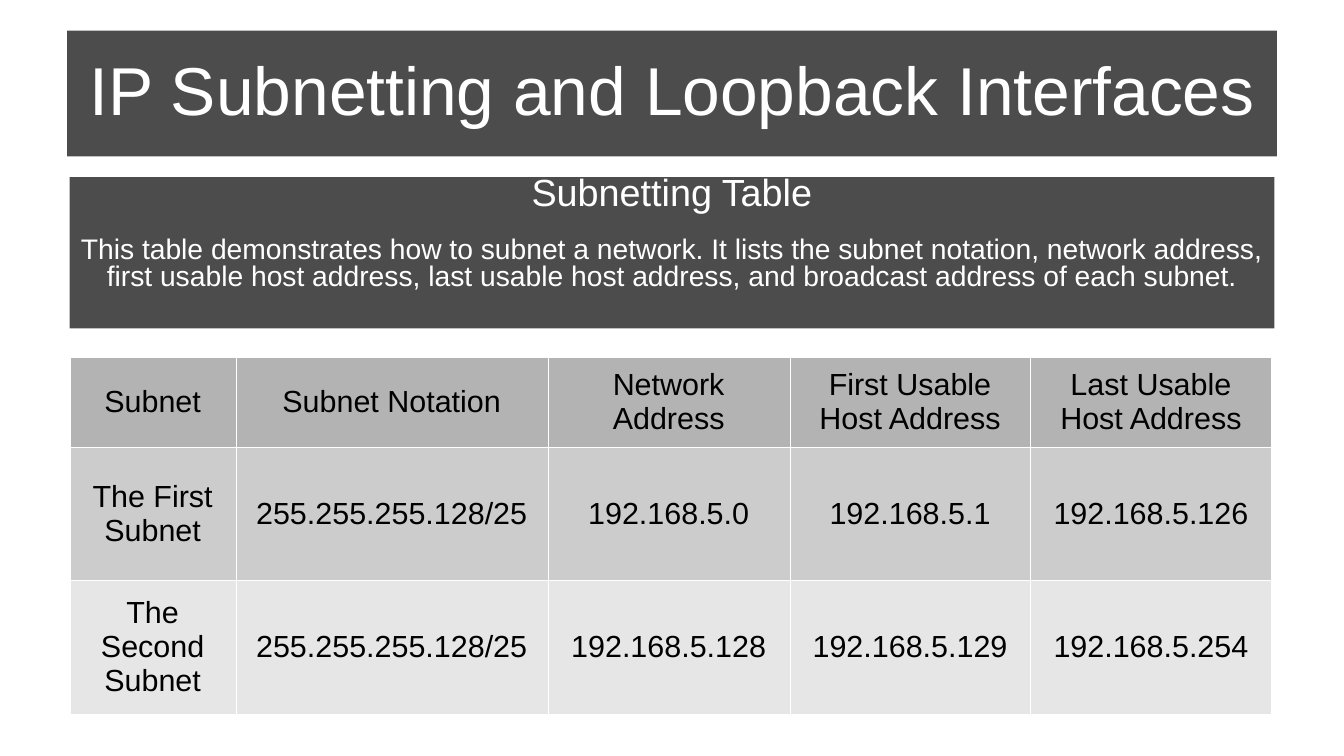
"""Build a slide with a subnetting table under two dark banners."""
from dataclasses import dataclass

from lxml import etree
from pptx import Presentation
from pptx.dml import color
from pptx.enum import text
from pptx.oxml import ns
from pptx.util import Cm, Pt

FONT = "Arial"
COLORS = {
    "black": "000000",
    "white": "FFFFFF",
    "head": "B3B3B3",
    "first": "CCCCCC",
    "second": "E6E6E6",
}
WIDTHS = [3.46, 6.5, 5.04, 5.02, 5.02]


@dataclass
class Banner:
    box: tuple[float, float, float, float]
    lines: list[str]
    sizes: list[float]
    space: float
    anchor: text.MSO_ANCHOR


@dataclass
class Row:
    fill: str
    height: float
    cells: list[str]


TITLE = Banner((1.4, 0.64, 25.2, 2.62), ["IP Subnetting and Loopback Interfaces"],
               [40], 0.9, text.MSO_ANCHOR.MIDDLE)
INTRO = Banner((1.45, 3.69, 25.1, 3.15), [
    "Subnetting Table",
    "This table demonstrates how to subnet a network. It lists the subnet notation, "
    "network address, first usable host address, last usable host address, "
    "and broadcast address of each subnet.",
], [22.3, 16.7], 0.8, text.MSO_ANCHOR.TOP)
ROWS = [
    Row("head", 1.88, ["Subnet", "Subnet Notation", "Network Address",
                       "First Usable Host Address", "Last Usable Host Address"]),
    Row("first", 2.78, ["The First Subnet", "255.255.255.128/25", "192.168.5.0",
                        "192.168.5.1", "192.168.5.126"]),
    Row("second", 2.78, ["The Second Subnet", "255.255.255.128/25", "192.168.5.128",
                         "192.168.5.129", "192.168.5.254"]),
]


def tint(name: str) -> color.RGBColor:
    """Return a named colour."""
    return color.RGBColor.from_string(COLORS[name])


def style(para, size: float, hue: str) -> None:
    """Centre a paragraph and format its runs."""
    para.alignment = text.PP_ALIGN.CENTER
    for run in para.runs:
        run.font.name = FONT
        run.font.size = Pt(size)
        run.font.color.rgb = tint(hue)


def draw_banner(shape, banner: Banner) -> None:
    """Turn a placeholder into a translucent dark banner."""
    shape.left, shape.top, shape.width, shape.height = map(Cm, banner.box)
    shape.fill.solid()
    shape.fill.fore_color.rgb = tint("black")
    shade = shape.fill._xPr.find(".//" + ns.qn("a:srgbClr"))
    etree.SubElement(shade, ns.qn("a:alpha"), val="70000")
    frame = shape.text_frame
    frame.margin_left = frame.margin_right = frame.margin_top = frame.margin_bottom = 0
    frame.word_wrap = True
    frame.auto_size = text.MSO_AUTO_SIZE.NONE
    frame.vertical_anchor = banner.anchor
    frame.text = "\n".join(banner.lines)
    for index, (para, size) in enumerate(zip(frame.paragraphs, banner.sizes)):
        props = para._p.get_or_add_pPr()
        props.set("marL", "0")
        props.set("indent", "0")
        etree.SubElement(props, ns.qn("a:buNone"))
        para.line_spacing = banner.space
        para.space_before = Pt(14.2 if index else 0)
        style(para, size, "white")


def draw_edge(cell) -> None:
    """Give a cell hairline white borders."""
    props = cell._tc.get_or_add_tcPr()
    for side in ("lnL", "lnR", "lnT", "lnB"):
        line = etree.SubElement(props, ns.qn(f"a:{side}"), w=str(Pt(0.06)))
        fill = etree.SubElement(line, ns.qn("a:solidFill"))
        etree.SubElement(fill, ns.qn("a:srgbClr"), val=COLORS["white"])


def draw_table(slide, rows: list[Row]) -> None:
    """Add the table of subnets."""
    high = sum(row.height for row in rows)
    table = slide.shapes.add_table(len(rows), len(WIDTHS), Cm(1.45), Cm(7.43),
                                   Cm(sum(WIDTHS)), Cm(high)).table
    for column, width in zip(table.columns, WIDTHS):
        column.width = Cm(width)
    for line, row in zip(table.rows, rows):
        line.height = Cm(row.height)
        for cell, words in zip(line.cells, row.cells):
            draw_edge(cell)
            cell.fill.solid()
            cell.fill.fore_color.rgb = tint(row.fill)
            cell.vertical_anchor = text.MSO_ANCHOR.MIDDLE
            cell.text_frame.text = words
            style(cell.text_frame.paragraphs[0], 18, "black")


def main() -> None:
    """Build and save the slide."""
    deck = Presentation()
    deck.slide_width, deck.slide_height = Cm(28), Cm(15.75)
    slide = deck.slides.add_slide(deck.slide_layouts[1])
    draw_banner(slide.shapes.title, TITLE)
    draw_banner(slide.placeholders[1], INTRO)
    draw_table(slide, ROWS)
    deck.save("out.pptx")


if __name__ == "__main__":
    main()
